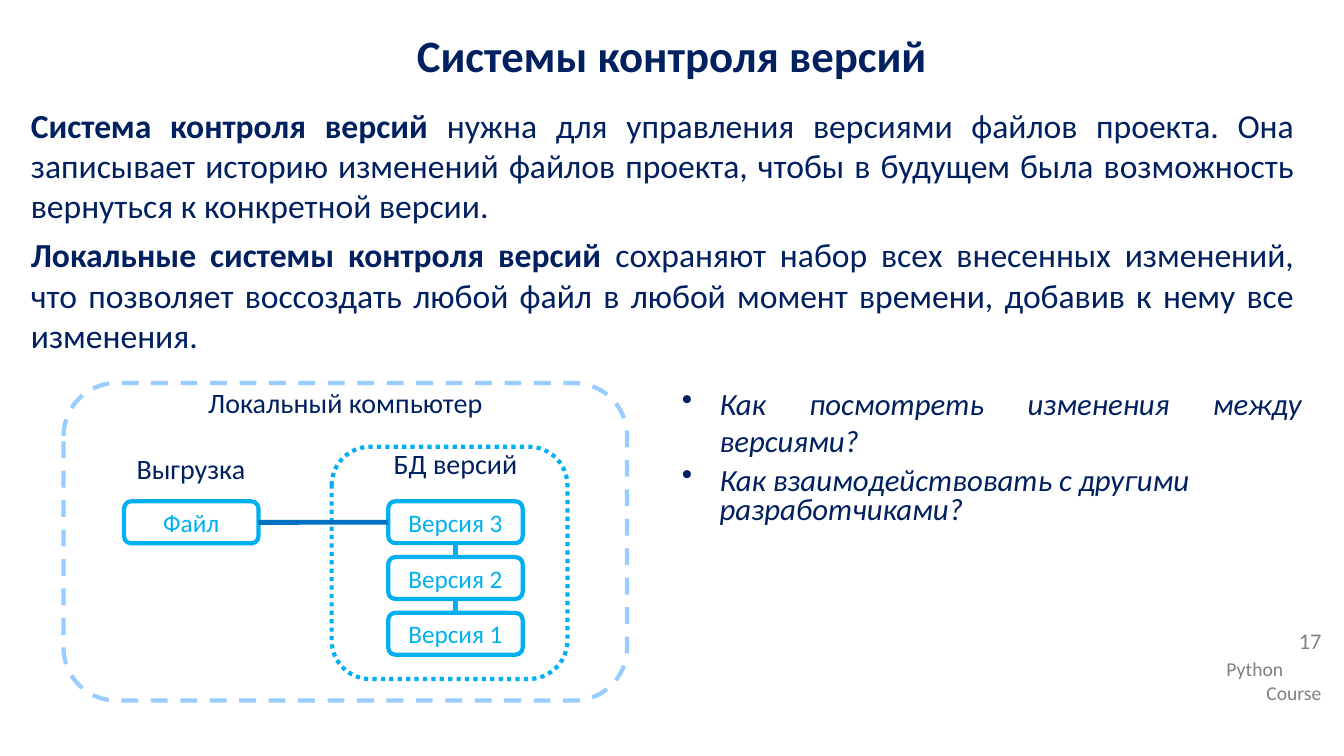
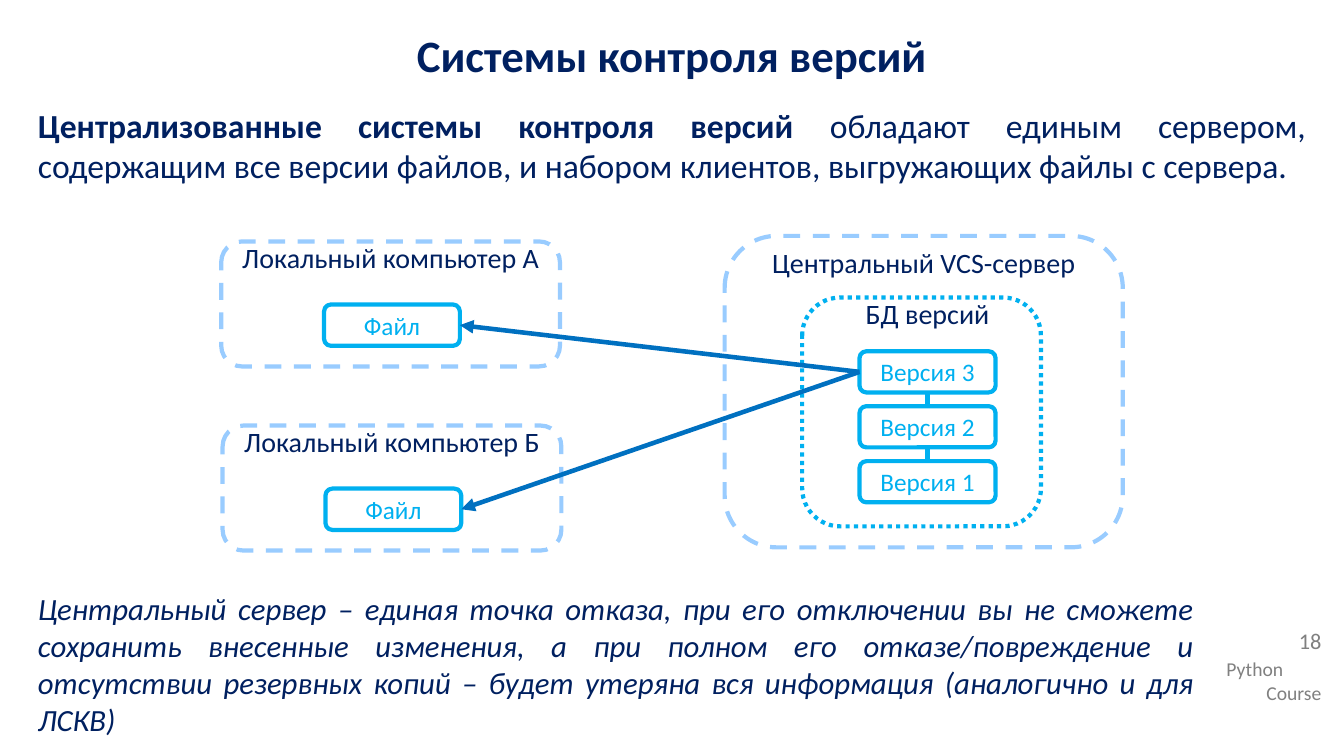
from lxml import etree
from pptx import Presentation
from pptx.dml.color import RGBColor
from pptx.enum.dml import MSO_LINE
from pptx.enum.shapes import MSO_CONNECTOR, MSO_SHAPE
from pptx.enum.text import MSO_ANCHOR, MSO_AUTO_SIZE, PP_ALIGN
from pptx.oxml.ns import qn
from pptx.util import Pt

NAVY = RGBColor(0x00, 0x20, 0x60)
CYAN = RGBColor(0x00, 0xB0, 0xF0)
BLUE = RGBColor(0x00, 0x70, 0xC0)
PALE = RGBColor(0x99, 0xCC, 0xFF)
GRAY = RGBColor(0x80, 0x80, 0x80)
FONT = "Calibri"
LEFT, CENTER, RIGHT, JUST = PP_ALIGN.LEFT, PP_ALIGN.CENTER, PP_ALIGN.RIGHT, PP_ALIGN.JUSTIFY
TOP, MIDDLE, FIXED = MSO_ANCHOR.TOP, MSO_ANCHOR.MIDDLE, MSO_AUTO_SIZE.NONE
DASH, DOT = MSO_LINE.DASH, MSO_LINE.ROUND_DOT
ROUND, STRAIGHT = MSO_SHAPE.ROUNDED_RECTANGLE, MSO_CONNECTOR.STRAIGHT
WIDE, HIGH = 960, 540
PORT_TOP, PORT_LEFT, PORT_LOW, PORT_RIGHT = range(4)


def points(box):
    return [Pt(n) for n in box]


def style(para, size, color=NAVY, align=LEFT, bold=None, italic=None, after=0):
    para.alignment = align
    para.space_after = Pt(after)
    font = para.font
    font.name, font.size, font.bold, font.italic = FONT, Pt(size), bold, italic
    font.color.rgb = color


def bullet(para):
    props = para._p.get_or_add_pPr()
    props.set("marL", str(Pt(27)))
    props.set("indent", str(Pt(-27)))
    mark = etree.Element(qn("a:buChar"), char="•")
    props.insert_element_before(mark, "a:tabLst", "a:defRPr", "a:extLst")


def write(slide, box, lines, size, **look):
    frame = slide.shapes.add_textbox(*points(box)).text_frame
    frame.word_wrap = True
    for i, line in enumerate(lines):
        para = frame.add_paragraph() if i else frame.paragraphs[0]
        style(para, size, **look)
        if isinstance(line, str):
            para.add_run().text = line
        else:
            for part, bold in zip(line, (True, False)):
                run = para.add_run()
                run.text, run.font.bold = part, bold
    return frame.paragraphs


def outline(slide, box, color, dash=None):
    shape = slide.shapes.add_shape(ROUND, *points(box))
    shape.shadow.inherit = False
    shape.fill.background()
    shape.line.color.rgb = color
    shape.line.width = Pt(3)
    if dash is not None:
        shape.line.dash_style = dash
    return shape


def node(slide, box, label):
    shape = outline(slide, box, CYAN)
    frame = shape.text_frame
    frame.vertical_anchor = MIDDLE
    frame.text = label
    style(frame.paragraphs[0], 18, CYAN, CENTER)
    return shape


def link(slide, start, end, color, width=3.5, arrow=False):
    line = slide.shapes.add_connector(STRAIGHT, 0, 0, 0, 0)
    line.begin_connect(*start)
    line.end_connect(*end)
    line.line.color.rgb = color
    line.line.width = Pt(width)
    if arrow:
        etree.SubElement(line.line._get_or_add_ln(), qn("a:tailEnd"), type="triangle")
    etree.SubElement(line._element.spPr, qn("a:effectLst"))


def label(slide, box, text):
    write(slide, box, [text], 20, align=CENTER, after=6)


def host(slide, box, text, drop):
    left, top, width, _ = box
    outline(slide, box, PALE, DASH)
    label(slide, (left, top + drop, width, 32), text)


def store(slide, box):
    left, top, width, height = box
    outline(slide, box, CYAN, DOT)
    x, w, h = left + 0.24 * width, 0.57 * width, 0.18 * height
    label(slide, (x - 6, top - 4, w + 12, 32), "БД версий")
    nodes = []
    for i in range(3):
        y = top + (0.235 + 0.24 * i) * height
        nodes.append(node(slide, (x, y, w, h), f"Версия {3 - i}"))
    for upper, lower in zip(nodes, nodes[1:]):
        link(slide, (upper, PORT_LOW), (lower, PORT_TOP), CYAN)
    return nodes[0]


def local(slide, box):
    left, top, _, _ = box
    host(slide, box, "Локальный компьютер", -2)
    label(slide, (left + 22, top + 45.5, 138, 32), "Выгрузка")
    last = store(slide, (left + 191.5, top + 45.5, 168.5, 166))
    file = node(slide, (left + 43.2, top + 84.5, 96, 30), "Файл")
    link(slide, (file, PORT_RIGHT), (last, PORT_LEFT), BLUE)


def client(slide, box, name, last):
    left, top, _, _ = box
    host(slide, box, f"Локальный компьютер {name}", -4)
    file = node(slide, (left + 73.5, top + 45, 97, 29.5), "Файл")
    link(slide, (last, PORT_LEFT), (file, PORT_RIGHT), BLUE, 3.25, True)


def server(slide, box):
    left, top, _, _ = box
    host(slide, box, "Центральный VCS-сервер", 3.5)
    return store(slide, (left + 55.4, top + 44, 170.6, 163.5))


def page(deck, number):
    slide = deck.slides.add_slide(deck.slide_layouts[5])
    title = slide.shapes.title
    title.left, title.top, title.width, title.height = points((0, 16.5, WIDE, 55))
    frame = title.text_frame
    frame.text = "Системы контроля версий"
    frame.auto_size, frame.vertical_anchor = FIXED, TOP
    style(frame.paragraphs[0], 32, NAVY, CENTER, bold=True, after=5)
    course = write(slide, (869, 466, 82, 41), ["Python", "Course"], 14, color=GRAY)
    course[1].alignment = RIGHT
    count = write(slide, (869, 446.5, 82, 32), [str(number)], 16, color=GRAY, align=RIGHT)
    count[0].line_spacing = 0.9
    return slide


def first(deck):
    slide = page(deck, 17)
    write(slide, (15, 71.3, 916.6, 188), [
        ("Система контроля версий ",
         "нужна для управления версиями файлов проекта. Она записывает историю "
         "изменений файлов проекта, чтобы в будущем была возможность вернуться "
         "к конкретной версии."),
        ("Локальные системы контроля версий ",
         "сохраняют набор всех внесенных изменений, что позволяет воссоздать "
         "любой файл в любой момент времени, добавив к нему все изменения."),
    ], 24, align=JUST, after=6)
    local(slide, (45.4, 273.6, 402.5, 226.8))
    asks = write(slide, (480, 271.5, 457, 110), [
        "Как посмотреть изменения между версиями?",
        "Как взаимодействовать с другими разработчиками?",
    ], 22, align=JUST, italic=True, after=6)
    for para in asks:
        bullet(para)
    asks[1].alignment = LEFT
    asks[1].line_spacing = 0.8


def second(deck):
    slide = page(deck, 18)
    write(slide, (20, 71.3, 920, 65.5), [
        ("Централизованные системы контроля версий ",
         "обладают единым сервером, содержащим все версии файлов, и набором "
         "клиентов, выгружающих файлы с сервера."),
    ], 24, align=JUST, after=6)
    last = server(slide, (517.6, 168.5, 284.4, 222.5))
    client(slide, (158, 172.5, 242, 89.3), "А", last)
    client(slide, (159, 304, 242, 89.3), "Б", last)
    write(slide, (20, 417.6, 839.5, 114), [
        "Центральный сервер – единая точка отказа, при его отключении вы не "
        "сможете сохранить внесенные изменения, а при полном его "
        "отказе/повреждение и отсутствии резервных копий – будет утеряна вся "
        "информация (аналогично и для ЛСКВ)",
    ], 22, align=JUST, italic=True, after=6)


def main():
    deck = Presentation()
    deck.slide_width, deck.slide_height = Pt(WIDE), Pt(HIGH)
    first(deck)
    second(deck)
    deck.save("out.pptx")


if __name__ == "__main__":
    main()
